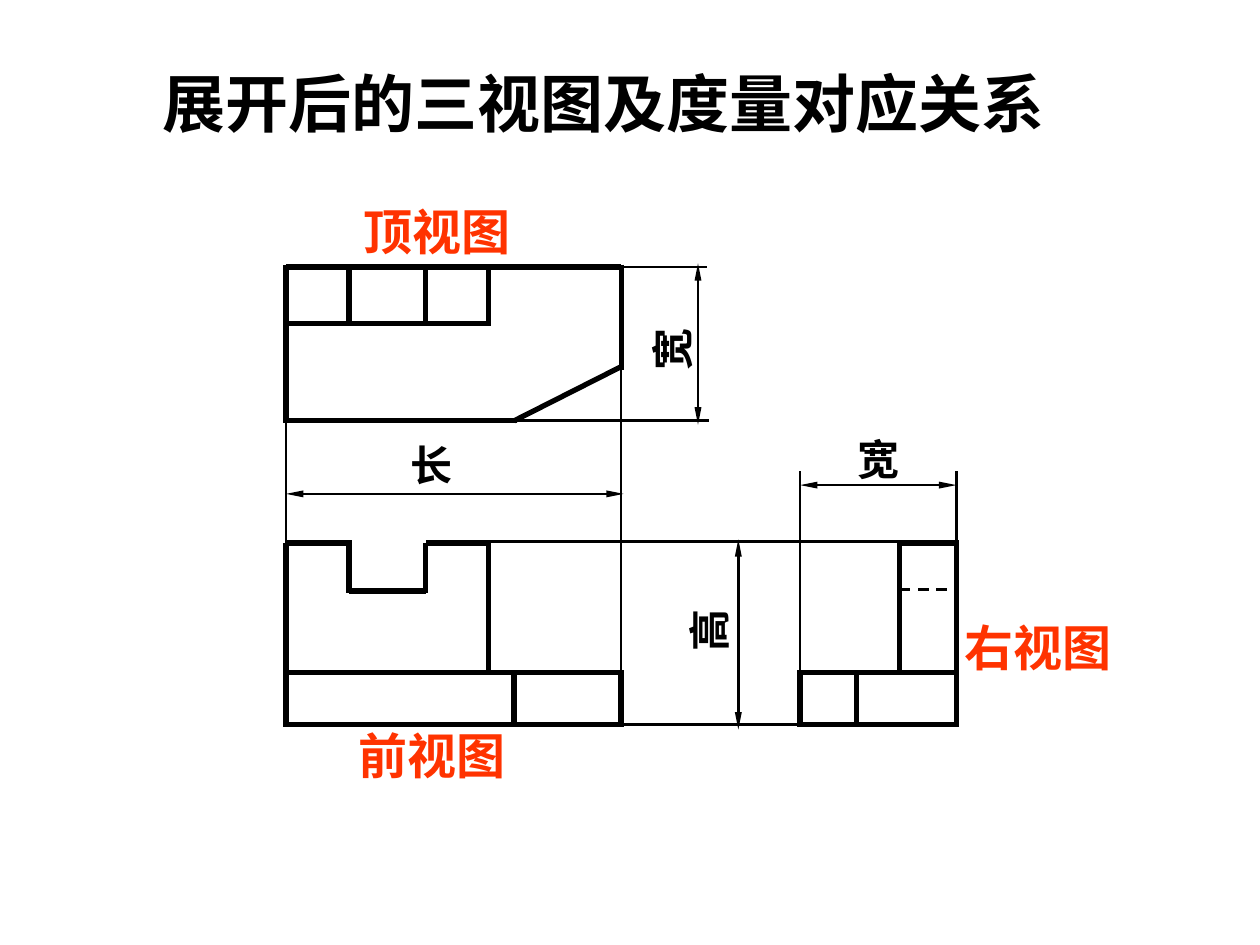
"""Build a slide with three unfolded orthographic views and their matching dimensions."""
from lxml import etree
from pptx import Presentation
from pptx.dml.color import RGBColor
from pptx.enum.dml import MSO_LINE
from pptx.enum.shapes import MSO_CONNECTOR, MSO_SHAPE
from pptx.enum.text import MSO_ANCHOR, PP_ALIGN
from pptx.oxml.ns import qn
from pptx.util import Inches, Pt

BLACK = RGBColor(0x00, 0x00, 0x00)
ORANGE = RGBColor(0xFF, 0x33, 0x00)
FONT = "Times New Roman"
THICK, THIN = 3, 1.5

LEFT, NOTCH_L, NOTCH_R, BLOCK_R, CUT, RIGHT = 2.27, 2.77, 3.38, 3.88, 4.08, 4.93
TOP_BACK, TOP_FRONT = 2.12, 3.34
CREST, NOTCH_Y, SHELF, BASE = 4.31, 4.69, 5.34, 5.75
SIDE_L, SIDE_CUT, SIDE_BLOCK, SIDE_R = 6.35, 6.8, 7.14, 7.59


def add_line(x1, y1, x2, y2, width):
    line = s.shapes.add_connector(
        MSO_CONNECTOR.STRAIGHT, Inches(x1), Inches(y1), Inches(x2), Inches(y2))
    line.line.color.rgb = BLACK
    line.line.width = Pt(width)
    etree.SubElement(line._element.spPr, qn("a:effectLst"))
    return line


def format_text(sp, text, size, color, align):
    tf = sp.text_frame
    tf.word_wrap = False
    tf.vertical_anchor = MSO_ANCHOR.MIDDLE
    p = tf.paragraphs[0]
    p.text = text
    p.alignment = align
    p.font.name = FONT
    p.font.size = Pt(size)
    p.font.bold = True
    p.font.color.rgb = color


prs = Presentation()
prs.slide_width, prs.slide_height = Inches(10), Inches(7.5)
s = prs.slides.add_slide(prs.slide_layouts[5])

title = s.shapes.title
title.left, title.top = Inches(1.19), Inches(0.46)
title.width, title.height = Inches(7.3), Inches(0.7)
format_text(title, "展开后的三视图及度量对应关系", 36, BLACK, PP_ALIGN.LEFT)

view_boxes = [
    (LEFT, SHELF, RIGHT - LEFT, BASE - SHELF),
    (LEFT, TOP_BACK, BLOCK_R - LEFT, 0.45),
    (SIDE_L, SHELF, SIDE_R - SIDE_L, BASE - SHELF),
    (SIDE_BLOCK, CREST, SIDE_R - SIDE_BLOCK, SHELF - CREST),
]
for box in view_boxes:
    sp = s.shapes.add_shape(MSO_SHAPE.RECTANGLE, *[Inches(v) for v in box])
    sp.shadow.inherit = False
    sp.fill.background()
    sp.line.color.rgb = BLACK
    sp.line.width = Pt(THICK)
    etree.SubElement(sp.line._get_or_add_ln(), qn("a:miter"), lim="800000")

front_edges = [
    (LEFT, SHELF, LEFT, CREST),
    (LEFT, CREST, 2.79, CREST),
    (NOTCH_L, CREST, NOTCH_L, 4.71),
    (NOTCH_L, NOTCH_Y, NOTCH_R, NOTCH_Y),
    (NOTCH_R, CREST, NOTCH_R, 4.71),
    (NOTCH_R, CREST, 3.9, CREST),
    (BLOCK_R, CREST, BLOCK_R, SHELF),
    (CUT, SHELF, CUT, BASE),
]
top_edges = [
    (LEFT, TOP_BACK, LEFT, 3.36),
    (LEFT, TOP_FRONT, 4.1, TOP_FRONT),
    (LEFT, TOP_BACK, RIGHT, TOP_BACK),
    (RIGHT, 2.1, RIGHT, 2.94),
    (RIGHT, 2.91, CUT, TOP_FRONT),
    (NOTCH_L, TOP_BACK, NOTCH_L, 2.57),
    (NOTCH_R, TOP_BACK, NOTCH_R, 2.57),
]
side_edges = [(SIDE_CUT, BASE, SIDE_CUT, SHELF)]
for edge in front_edges + top_edges + side_edges:
    add_line(*edge, THICK)

hidden_edge = add_line(SIDE_BLOCK, 4.68, SIDE_R, 4.68, THIN)
hidden_edge.line.dash_style = MSO_LINE.DASH

extension_lines = [
    (LEFT, 3.31, LEFT, 4.33),
    (RIGHT, 5.36, RIGHT, 2.82),
    (BLOCK_R, 4.3, SIDE_BLOCK, 4.3),
    (4.84, BASE, 6.51, BASE),
    (SIDE_L, 5.36, SIDE_L, 3.74),
    (SIDE_R, 4.35, SIDE_R, 3.74),
    (RIGHT, TOP_BACK, 5.61, TOP_BACK),
    (4.03, TOP_FRONT, 5.63, TOP_FRONT),
]
for extension in extension_lines:
    add_line(*extension, THIN)

dimension_lines = [
    (LEFT, 3.92, 4.95, 3.92),
    (5.86, 4.28, 5.86, 5.79),
    (SIDE_L, 3.85, SIDE_R, 3.85),
    (5.54, 2.09, 5.54, 3.37),
]
for dimension in dimension_lines:
    ln = add_line(*dimension, THIN).line._get_or_add_ln()
    for end in ("a:headEnd", "a:tailEnd"):
        etree.SubElement(ln, qn(end), type="triangle", w="sm", len="lg")

labels = [
    ("前视图", 2.75, 5.71, 1.5, 0.57, 0, 28, ORANGE, PP_ALIGN.LEFT),
    ("顶视图", 2.79, 1.55, 1.84, 0.57, 0, 28, ORANGE, PP_ALIGN.LEFT),
    ("右视图", 7.56, 4.85, 1.5, 0.57, 0, 28, ORANGE, PP_ALIGN.LEFT),
    ("长", 3.16, 3.44, 0.53, 0.5, 0, 24, BLACK, PP_ALIGN.CENTER),
    ("高", 5.36, 4.75, 0.53, 0.5, 270, 24, BLACK, PP_ALIGN.CENTER),
    ("宽", 5.07, 2.52, 0.53, 0.5, 270, 24, BLACK, PP_ALIGN.CENTER),
    ("宽", 6.71, 3.39, 0.53, 0.5, 0, 24, BLACK, PP_ALIGN.CENTER),
]
for text, x, y, w, h, angle, size, color, align in labels:
    sp = s.shapes.add_textbox(Inches(x), Inches(y), Inches(w), Inches(h))
    sp.rotation = angle
    format_text(sp, text, size, color, align)

prs.save("out.pptx")
